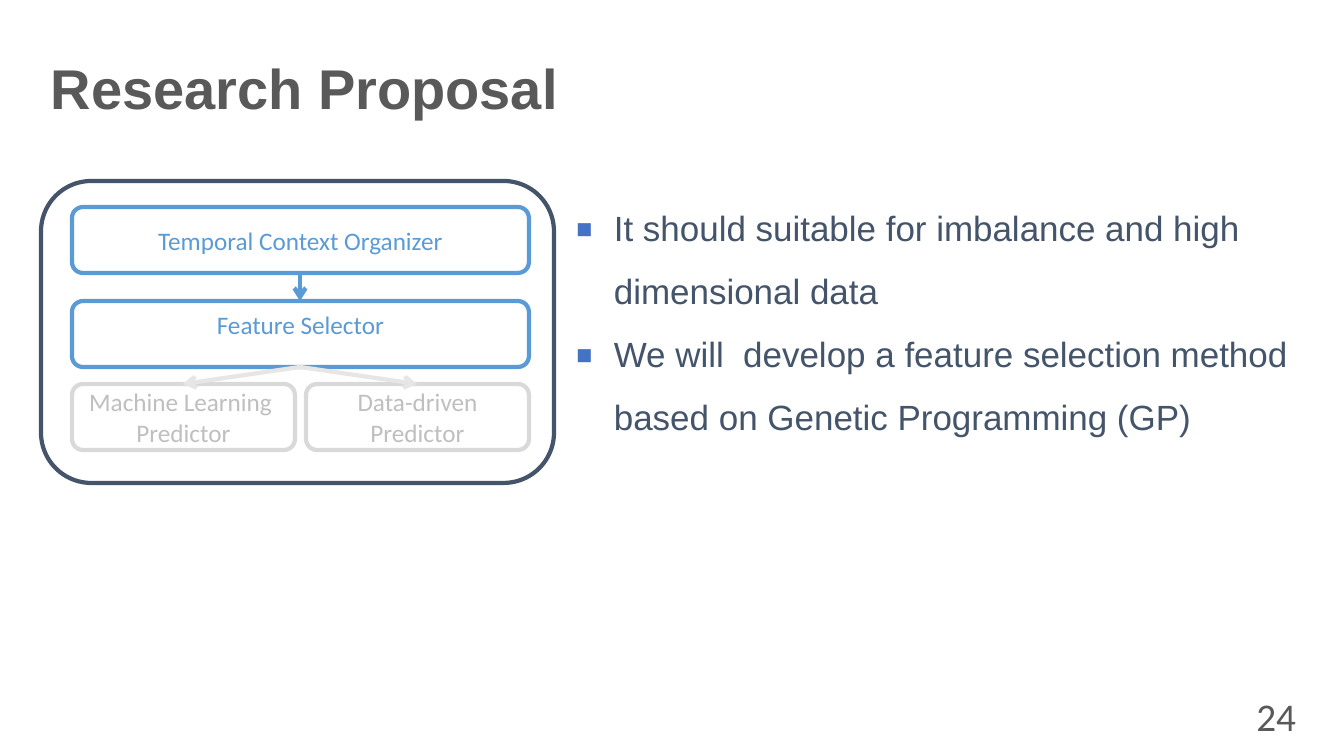
from dataclasses import dataclass

import pptx
import pptx.dml.color
import pptx.enum.shapes
import pptx.enum.text
import pptx.oxml
import pptx.oxml.ns
import pptx.util

EMU_PER_PX = 914400 / 100.8
ALIGN = pptx.enum.text.PP_ALIGN
ANCHOR = pptx.enum.text.MSO_ANCHOR


@dataclass(frozen=True)
class Theme:
    white: str = "FFFFFF"
    navy: str = "44546A"
    blue: str = "5B9BD5"
    bullet: str = "4472C4"
    grey: str = "595959"
    faded_line: str = "D9D9D9"
    faded_text: str = "BFBFBF"
    faded_arrow: str = "E7E6E6"
    heading_font: str = "Arial"
    label_font: str = "Calibri"
    title_size: int = 40
    number_size: int = 28
    body_size: int = 25
    label_size: int = 18
    line_width: int = 3


THEME = Theme()


@dataclass(frozen=True)
class Area:
    left: int
    top: int
    width: int
    height: int

    @property
    def center(self) -> int:
        return self.left + self.width // 2

    @property
    def bottom(self) -> int:
        return self.top + self.height


@dataclass(frozen=True)
class Step:
    area: Area
    lines: tuple[str, ...]
    line_color: str
    text_color: str
    anchor: ANCHOR = ANCHOR.MIDDLE


@dataclass(frozen=True)
class Arrow:
    source: Step
    target: Step
    color: str


def px(length: int) -> int:
    return round(length * EMU_PER_PX)


def place(area: Area) -> tuple[int, int, int, int]:
    return px(area.left), px(area.top), px(area.width), px(area.height)


def rgb(color: str) -> pptx.dml.color.RGBColor:
    return pptx.dml.color.RGBColor.from_string(color)


def add_bullet(para) -> None:
    properties = para._p.get_or_add_pPr()
    properties.set("marL", str(px(38)))
    properties.set("indent", str(-px(38)))
    namespace = pptx.oxml.ns.nsdecls("a")
    for markup in (
        f'<a:buClr {namespace}><a:srgbClr val="{THEME.bullet}"/></a:buClr>',
        f'<a:buSzPct {namespace} val="150000"/>',
        f'<a:buFont {namespace} typeface="{THEME.heading_font}"/>',
        f'<a:buChar {namespace} char="▪"/>',
    ):
        properties.append(pptx.oxml.parse_xml(markup))


def write_text(shape, lines: tuple[str, ...], *, size: int, font: str, color: str,
               bold: bool = False, align: ALIGN = ALIGN.LEFT,
               anchor: ANCHOR = ANCHOR.TOP, spacing: float = 1.0,
               bulleted: bool = False) -> None:
    frame = shape.text_frame
    frame.word_wrap = True
    frame.vertical_anchor = anchor
    for index, line in enumerate(lines):
        para = frame.add_paragraph() if index else frame.paragraphs[0]
        para.alignment = align
        para.line_spacing = spacing
        if bulleted:
            add_bullet(para)
        span = para.add_run()
        span.text = line
        span.font.size = pptx.util.Pt(size)
        span.font.name = font
        span.font.bold = bold
        span.font.color.rgb = rgb(color)


def add_box(page, area: Area, line_color: str):
    box = page.shapes.add_shape(
        pptx.enum.shapes.MSO_SHAPE.ROUNDED_RECTANGLE, *place(area))
    box.shadow.inherit = False
    box.fill.solid()
    box.fill.fore_color.rgb = rgb(THEME.white)
    box.line.color.rgb = rgb(line_color)
    box.line.width = pptx.util.Pt(THEME.line_width)
    return box


def add_step(page, step: Step) -> None:
    box = add_box(page, step.area, step.line_color)
    write_text(box, step.lines, size=THEME.label_size, font=THEME.label_font,
               color=step.text_color, align=ALIGN.CENTER, anchor=step.anchor)


def add_arrow(page, arrow: Arrow) -> None:
    start, end = arrow.source.area, arrow.target.area
    connector = page.shapes.add_connector(
        pptx.enum.shapes.MSO_CONNECTOR.STRAIGHT,
        px(start.center), px(start.bottom), px(end.center), px(end.top))
    connector.line.color.rgb = rgb(arrow.color)
    connector.line.width = pptx.util.Pt(THEME.line_width)
    namespace = pptx.oxml.ns.nsdecls("a")
    connector.line._get_or_add_ln().append(
        pptx.oxml.parse_xml(f'<a:tailEnd {namespace} type="arrow"/>'))
    connector._element.spPr.append(
        pptx.oxml.parse_xml(f"<a:effectLst {namespace}/>"))


def main() -> None:
    deck = pptx.Presentation()
    deck.slide_width, deck.slide_height = px(1344), px(756)
    page = deck.slides.add_slide(deck.slide_layouts[6])

    # Title, findings and page number
    title = page.shapes.add_textbox(*place(Area(41, 40, 1287, 103)))
    write_text(title, ("Research Proposal",), size=THEME.title_size,
               font=THEME.heading_font, color=THEME.grey, bold=True,
               anchor=ANCHOR.MIDDLE, spacing=0.9)
    body = page.shapes.add_textbox(*place(Area(566, 181, 764, 257)))
    write_text(body, (
        "It should suitable for imbalance and high dimensional data",
        "We will  develop a feature selection method based on Genetic Programming (GP)",
    ), size=THEME.body_size, font=THEME.heading_font, color=THEME.navy,
        spacing=1.5, bulleted=True)
    number = page.shapes.add_textbox(*place(Area(1201, 696, 105, 40)))
    write_text(number, ("24",), size=THEME.number_size, font=THEME.label_font,
               color=THEME.grey, align=ALIGN.RIGHT, anchor=ANCHOR.MIDDLE)

    # Process diagram
    organizer = Step(Area(72, 207, 457, 66), ("Temporal Context Organizer",),
                     THEME.blue, THEME.blue)
    selector = Step(Area(72, 301, 457, 66), ("Feature Selector",),
                    THEME.blue, THEME.blue, ANCHOR.TOP)
    predictors = [
        Step(Area(72 + 234 * column, 384, 223, 66), lines,
             THEME.faded_line, THEME.faded_text)
        for column, lines in enumerate((
            ("Machine Learning ", "Predictor"), ("Data-driven", "Predictor")))
    ]
    add_box(page, Area(41, 181, 513, 302), THEME.navy)
    for step in (organizer, selector, *predictors):
        add_step(page, step)

    # Flow between the steps
    add_arrow(page, Arrow(organizer, selector, THEME.blue))
    for predictor in predictors:
        add_arrow(page, Arrow(selector, predictor, THEME.faded_arrow))

    deck.save("out.pptx")


if __name__ == "__main__":
    main()
